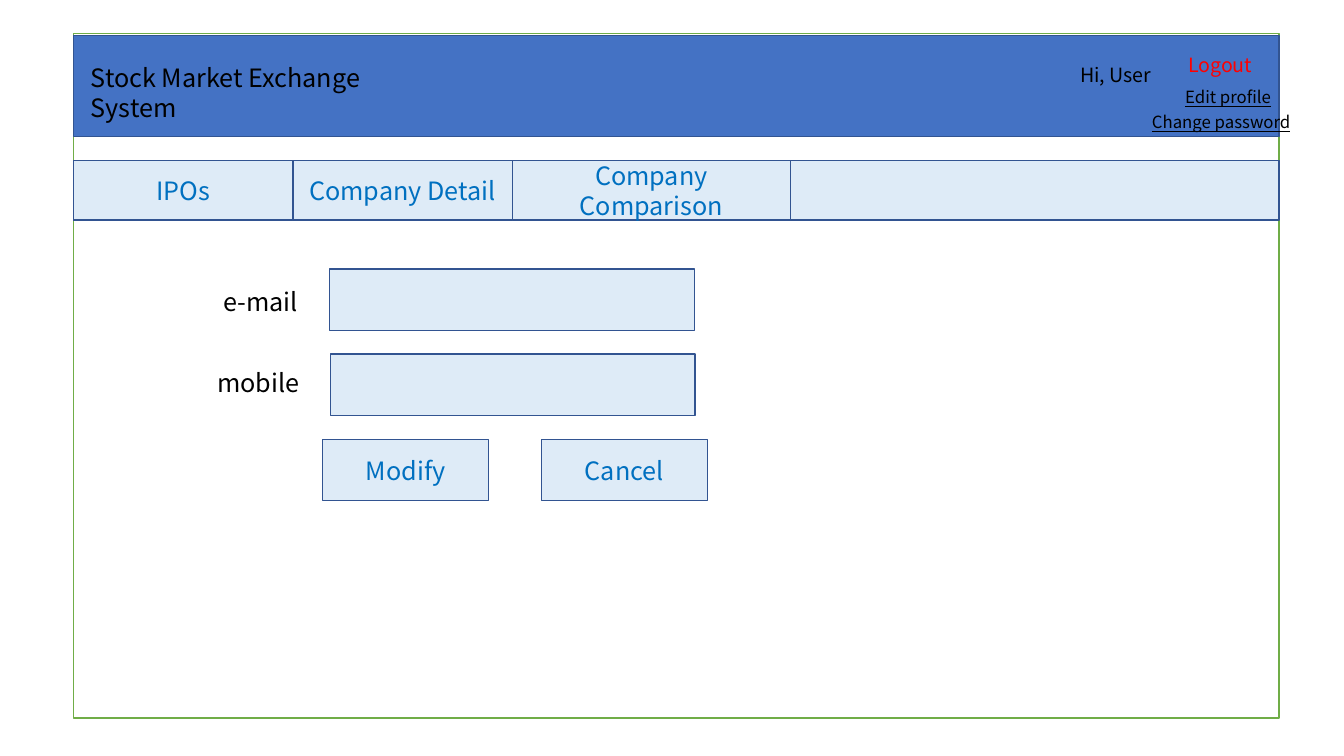
import pptx
import pptx.util
import pptx.dml.color
import pptx.enum.shapes
import pptx.enum.text

Cm = pptx.util.Cm
RGBColor = pptx.dml.color.RGBColor

WHITE = RGBColor(0xFF, 0xFF, 0xFF)
BLACK = RGBColor(0x00, 0x00, 0x00)
RED = RGBColor(0xFF, 0x00, 0x00)
GREEN = RGBColor(0x70, 0xAD, 0x47)
BLUE = RGBColor(0x44, 0x72, 0xC4)
NAVY = RGBColor(0x32, 0x54, 0x91)
PALE_BLUE = RGBColor(0xDE, 0xEB, 0xF7)
LINK_BLUE = RGBColor(0x00, 0x70, 0xC0)


class Wireframe:
    """Draws the boxes and labels of a screen mock-up on one slide."""

    font_name = "Noto Sans CJK SC"

    def __init__(self, slide):
        self.shapes = slide.shapes

    def add_words(self, frame, text, size, color, underline=None):
        frame.word_wrap = True
        run = frame.paragraphs[0].add_run()
        run.text = text
        run.font.name = self.font_name
        run.font.size = pptx.util.Pt(size)
        run.font.color.rgb = color
        run.font.underline = underline

    def box(self, left, top, width, height, text="", fill=PALE_BLUE, line=NAVY):
        panel = self.shapes.add_shape(
            pptx.enum.shapes.MSO_SHAPE.RECTANGLE,
            Cm(left), Cm(top), Cm(width), Cm(height))
        panel.shadow.inherit = False
        panel.fill.solid()
        panel.fill.fore_color.rgb = fill
        panel.line.color.rgb = line
        panel.line.width = pptx.util.Pt(1)
        if text:
            frame = panel.text_frame
            frame.vertical_anchor = pptx.enum.text.MSO_ANCHOR.MIDDLE
            frame.paragraphs[0].alignment = pptx.enum.text.PP_ALIGN.CENTER
            self.add_words(frame, text, 18, LINK_BLUE)

    def label(self, left, top, width, height, text, size=18, color=BLACK, underline=None):
        caption = self.shapes.add_textbox(Cm(left), Cm(top), Cm(width), Cm(height))
        self.add_words(caption.text_frame, text, size, color, underline)


def main():
    deck = pptx.Presentation()
    deck.slide_width, deck.slide_height = Cm(33.87), Cm(19.05)
    page = Wireframe(deck.slides.add_slide(deck.slide_layouts[6]))

    page_left, page_width = 1.85, 30.38
    page.box(page_left, 0.84, page_width, 17.25, fill=WHITE, line=GREEN)
    page.box(page_left, 0.9, page_width, 2.54, fill=BLUE)
    page.label(2.04, 1.45, 9.4, 1.02, "Stock Market Exchange System")

    menu_top, menu_height = 4.05, 1.5
    page.box(page_left, menu_top, page_width, menu_height)
    tab_left = page_left
    for tab, tab_width in (("IPOs", 5.53), ("Company Detail", 5.53),
                           ("Company Comparison", 7.01)):
        page.box(tab_left, menu_top, tab_width, menu_height, tab)
        tab_left += tab_width

    page.label(26.97, 1.45, 3.66, 0.86, "Hi, User", 14)
    page.label(29.69, 1.22, 3.66, 0.86, "Logout", 14, RED)
    page.label(29.62, 2.06, 3.66, 0.76, "Edit profile", 12, underline=True)
    page.label(28.78, 2.69, 4.11, 0.76, "Change password", 12, underline=True)

    for field, label_left, label_top, field_left, field_top in (
            ("e-mail", 5.38, 7.09, 8.31, 6.78),
            ("mobile", 5.23, 9.14, 8.33, 8.92)):
        page.box(field_left, field_top, 9.19, 1.55)
        page.label(label_left, label_top, 3.61, 1.02, field)

    for action, action_left in (("Modify", 8.13), ("Cancel", 13.64)):
        page.box(action_left, 11.07, 4.19, 1.55, action)

    deck.save("out.pptx")


if __name__ == "__main__":
    main()
